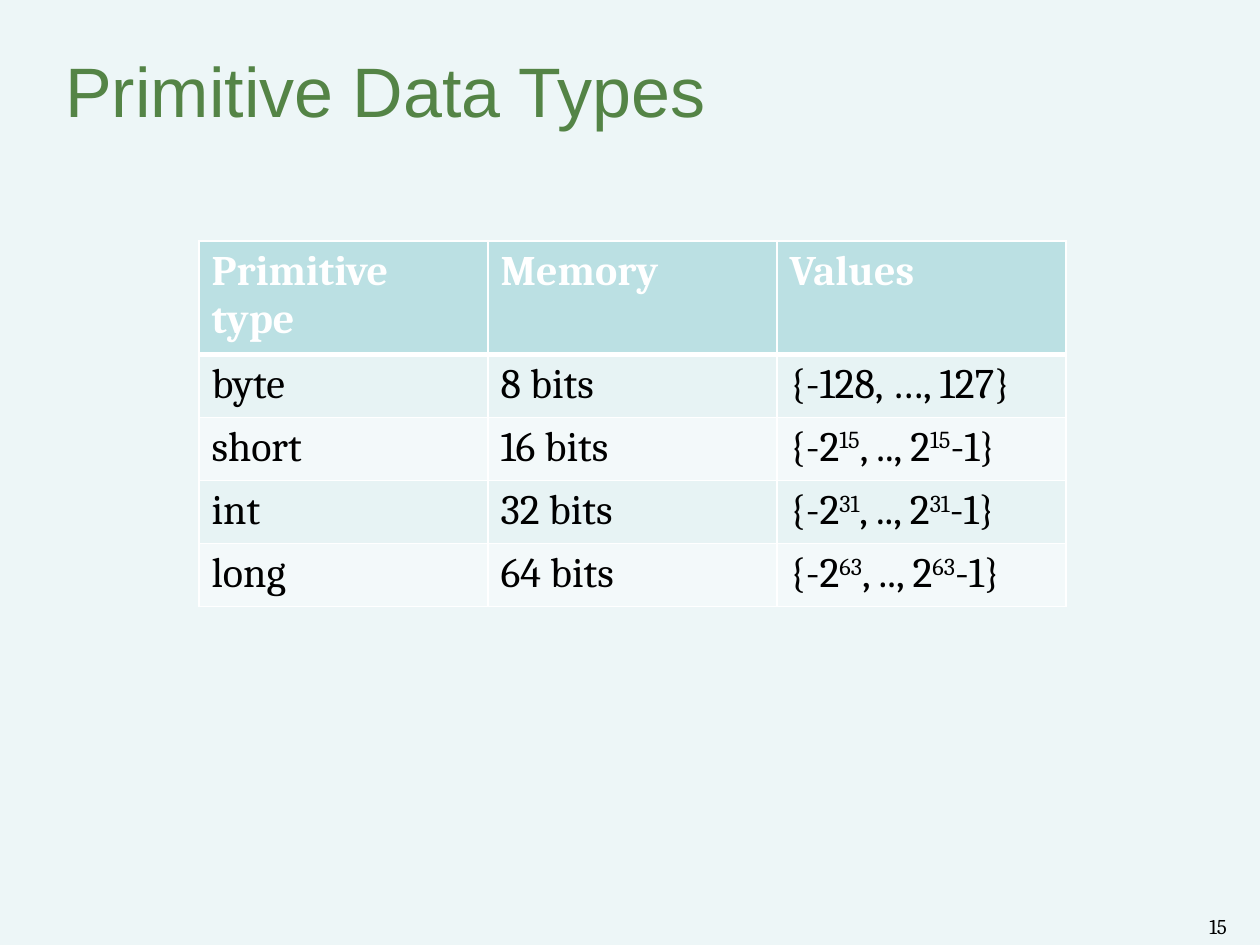
from pptx import Presentation
from pptx.dml.color import RGBColor
from pptx.enum.text import MSO_ANCHOR
from pptx.oxml import parse_xml
from pptx.oxml.ns import nsdecls
from pptx.util import Emu, Pt

SCALE = 914400 / 126


def px(*sizes):
    return [Emu(round(size * SCALE)) for size in sizes]


def color(code):
    return RGBColor.from_string(code)


def write(frame, text, size=24, font="Cambria", ink="000000", bold=False,
          anchor=MSO_ANCHOR.TOP):
    frame.word_wrap = True
    frame.vertical_anchor = anchor
    line = frame.paragraphs[0]
    for index, part in enumerate(text.split("^")):
        run = line.add_run()
        run.text = part
        run.font.size = Pt(size)
        run.font.name = font
        run.font.bold = bold
        run.font.color.rgb = color(ink)
        if index % 2:
            run.font._element.set("baseline", "30000")


def label(slide, box, text, **style):
    write(slide.shapes.add_textbox(*px(*box)).text_frame, text, **style)


def border(cell, low):
    props = cell._tc.get_or_add_tcPr()
    sides = [("lnL", 1), ("lnR", 1), ("lnT", 1), ("lnB", low)]
    for spot, (side, width) in enumerate(sides):
        props.insert(spot, parse_xml(
            f'<a:{side} {nsdecls("a")} w="{Pt(width)}"><a:solidFill>'
            f'<a:srgbClr val="FFFFFF"/></a:solidFill></a:{side}>'))


def grid(slide, box, rows):
    frame = slide.shapes.add_table(len(rows), len(rows[0]), *px(*box))
    table = frame.table
    for r, row in enumerate(rows):
        head = r == 0
        fill = "BBE0E3" if head else ("F3F9FA", "E7F3F4")[r % 2]
        for c, text in enumerate(row):
            cell = table.cell(r, c)
            cell.fill.solid()
            cell.fill.fore_color.rgb = color(fill)
            border(cell, 3 if head else 1)
            write(cell.text_frame, text, bold=head,
                  ink="FFFFFF" if head else "000000")


def span(power):
    return f"{{-2^{power}^, .., 2^{power}^-1}}"


def build():
    deck = Presentation()
    deck.slide_width, deck.slide_height = px(1260, 945)
    slide = deck.slides.add_slide(deck.slide_layouts[6])
    back = slide.background.fill
    back.solid()
    back.fore_color.rgb = color("EDF6F7")
    label(slide, (1197, 907, 105, 38), "15", size=12)
    label(slide, (53, 10, 1155, 158), "Primitive Data Types", size=40,
          font="Arial", ink="548446", anchor=MSO_ANCHOR.MIDDLE)
    rows = [("Primitive type", "Memory", "Values"),
            ("byte", "8 bits", "{-128, …, 127}")]
    for name, bits in [("short", 16), ("int", 32), ("long", 64)]:
        rows.append((name, f"{bits} bits", span(bits - 1)))
    grid(slide, (199, 241, 867, 255), rows)
    deck.save("out.pptx")


build()
